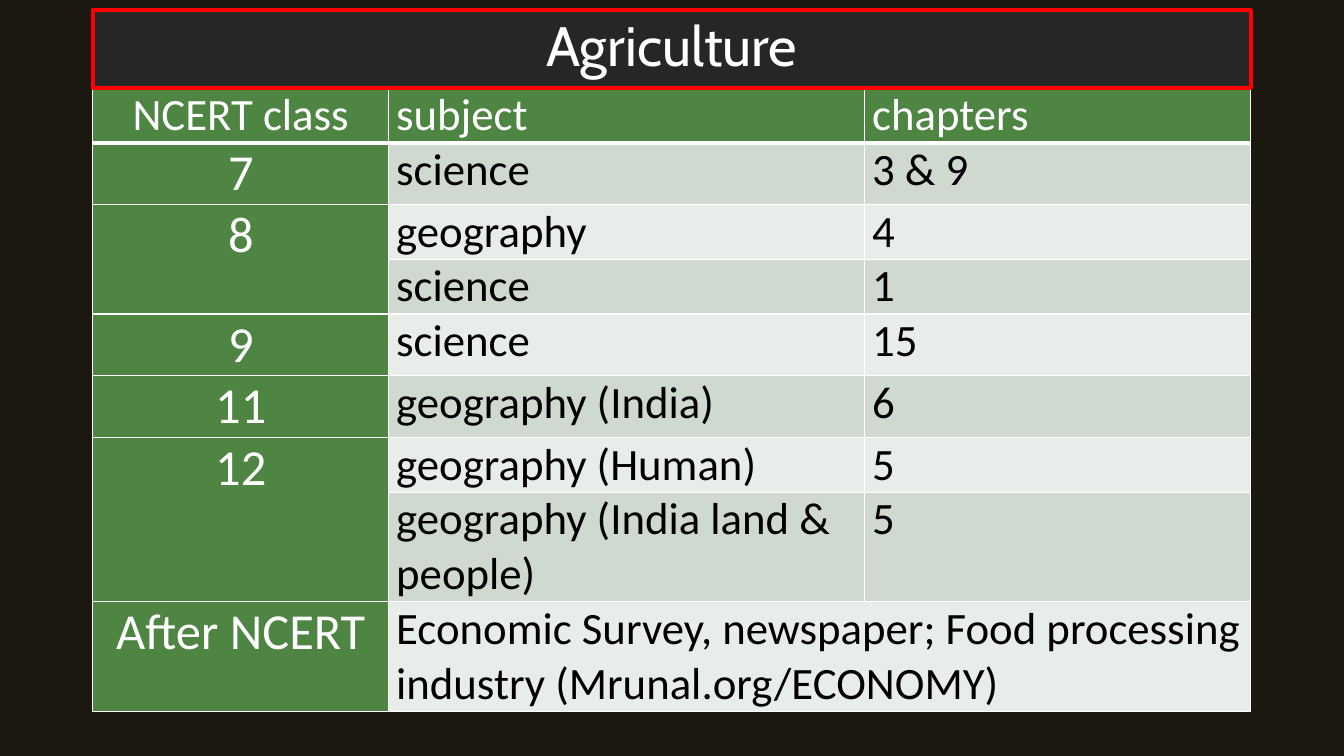
from lxml.etree import SubElement
from pptx import Presentation
from pptx.dml.color import RGBColor
from pptx.enum.text import MSO_ANCHOR, MSO_AUTO_SIZE, PP_ALIGN
from pptx.oxml.ns import qn
from pptx.util import Pt

BACKGROUND = RGBColor(0x1B, 0x18, 0x10)
CHARCOAL = RGBColor(0x26, 0x26, 0x26)
RED = RGBColor(0xFF, 0x00, 0x00)
GREEN = RGBColor(0x4E, 0x85, 0x42)
DARK_BAND = RGBColor(0xD0, 0xD9, 0xCF)
LIGHT_BAND = RGBColor(0xE9, 0xED, 0xE9)
WHITE = RGBColor(0xFF, 0xFF, 0xFF)
BLACK = RGBColor(0x00, 0x00, 0x00)

LEFT = 66.25
COLUMN_WIDTHS = [211.5, 340, 275.75]
ROW_HEIGHTS = [39, 44, 39, 39, 44, 44, 39, 78, 78]
ROWS = [
    ("NCERT class", "subject", "chapters"),
    ("7", "science", "3 & 9"),
    ("8", "geography", "4"),
    ("", "science", "1"),
    ("9", "science", "15"),
    ("11", "geography (India)", "6"),
    ("12", "geography (Human)", "5"),
    ("", "geography (India land & people)", "5"),
    ("After NCERT", "Economic Survey, newspaper; Food processing industry (Mrunal.org/ECONOMY)", ""),
]
MERGES = [((2, 0), (3, 0)), ((6, 0), (7, 0)), ((8, 1), (8, 2))]

CELL_FORMAT = {
    "margin_left": Pt(5.25),
    "margin_right": Pt(5.25),
    "margin_top": 0,
    "margin_bottom": 0,
    "vertical_anchor": MSO_ANCHOR.TOP,
}
TABLE_FORMAT = {"first_row": False, "horz_banding": False}
TITLE_FRAME_FORMAT = {
    "auto_size": MSO_AUTO_SIZE.NONE,
    "vertical_anchor": MSO_ANCHOR.MIDDLE,
    "word_wrap": True,
}


def apply_format(target, values):
    for name, value in values.items():
        setattr(target, name, value)


def write_text(text_frame, text, font_name, size, color, alignment):
    paragraph = text_frame.paragraphs[0]
    paragraph.alignment = alignment
    run = paragraph.add_run()
    run.text = text
    apply_format(run.font, {"name": font_name, "size": Pt(size), "bold": False})
    run.font.color.rgb = color
    return paragraph


def add_borders(cell, bottom_width):
    properties = cell._tc.get_or_add_tcPr()
    for side, width in (("L", 1), ("R", 1), ("T", 1), ("B", bottom_width)):
        border = SubElement(properties, qn(f"a:ln{side}"), w=str(Pt(width)))
        fill = SubElement(border, qn("a:solidFill"))
        SubElement(fill, qn("a:srgbClr"), val=str(WHITE))


def add_title(slide, left, top, width, height):
    title = slide.shapes.title
    apply_format(title, {"left": Pt(left), "top": Pt(top), "width": Pt(width), "height": Pt(height)})
    geometry = SubElement(title._element.spPr, qn("a:prstGeom"), prst="roundRect")
    adjustments = SubElement(geometry, qn("a:avLst"))
    SubElement(adjustments, qn("a:gd"), name="adj", fmla="val 2000")
    title.fill.solid()
    title.fill.fore_color.rgb = CHARCOAL
    title.line.color.rgb = RED
    title.line.width = Pt(3)
    apply_format(title.text_frame, TITLE_FRAME_FORMAT)
    paragraph = write_text(title.text_frame, "Agriculture", "Cabin", 39.6, WHITE, PP_ALIGN.CENTER)
    paragraph.line_spacing = 0.9
    slide.shapes._spTree.append(title._element)


def add_reading_table(slide, left, top, width, height):
    frame = slide.shapes.add_table(
        len(ROWS), len(COLUMN_WIDTHS), Pt(left), Pt(top), Pt(width), Pt(height)
    )
    table = frame.table
    apply_format(table, TABLE_FORMAT)
    for column, column_width in zip(table.columns, COLUMN_WIDTHS):
        column.width = Pt(column_width)
    for row_index, (texts, row_height) in enumerate(zip(ROWS, ROW_HEIGHTS)):
        table.rows[row_index].height = Pt(row_height)
        is_header = row_index == 0
        band = DARK_BAND if row_index % 2 else LIGHT_BAND
        for column_index, text in enumerate(texts):
            cell = table.cell(row_index, column_index)
            is_class = column_index == 0
            is_green = is_header or is_class
            apply_format(cell, CELL_FORMAT)
            add_borders(cell, 3 if is_header else 1)
            cell.fill.solid()
            cell.fill.fore_color.rgb = GREEN if is_green else band
            if text:
                write_text(
                    cell.text_frame,
                    text,
                    "Calibri",
                    36 if is_class and not is_header else 32,
                    WHITE if is_green else BLACK,
                    PP_ALIGN.CENTER if is_class else PP_ALIGN.LEFT,
                )
    for first, last in MERGES:
        table.cell(*first).merge(table.cell(*last))


def main():
    presentation = Presentation()
    apply_format(presentation, {"slide_width": Pt(960), "slide_height": Pt(540)})
    slide = presentation.slides.add_slide(presentation.slide_layouts.get_by_name("Title Only"))
    slide.background.fill.solid()
    slide.background.fill.fore_color.rgb = BACKGROUND
    width = sum(COLUMN_WIDTHS)
    add_reading_table(slide, LEFT, 62.75, width, sum(ROW_HEIGHTS))
    add_title(slide, LEFT, 7.25, width, 55.5)
    presentation.save("out.pptx")


if __name__ == "__main__":
    main()
